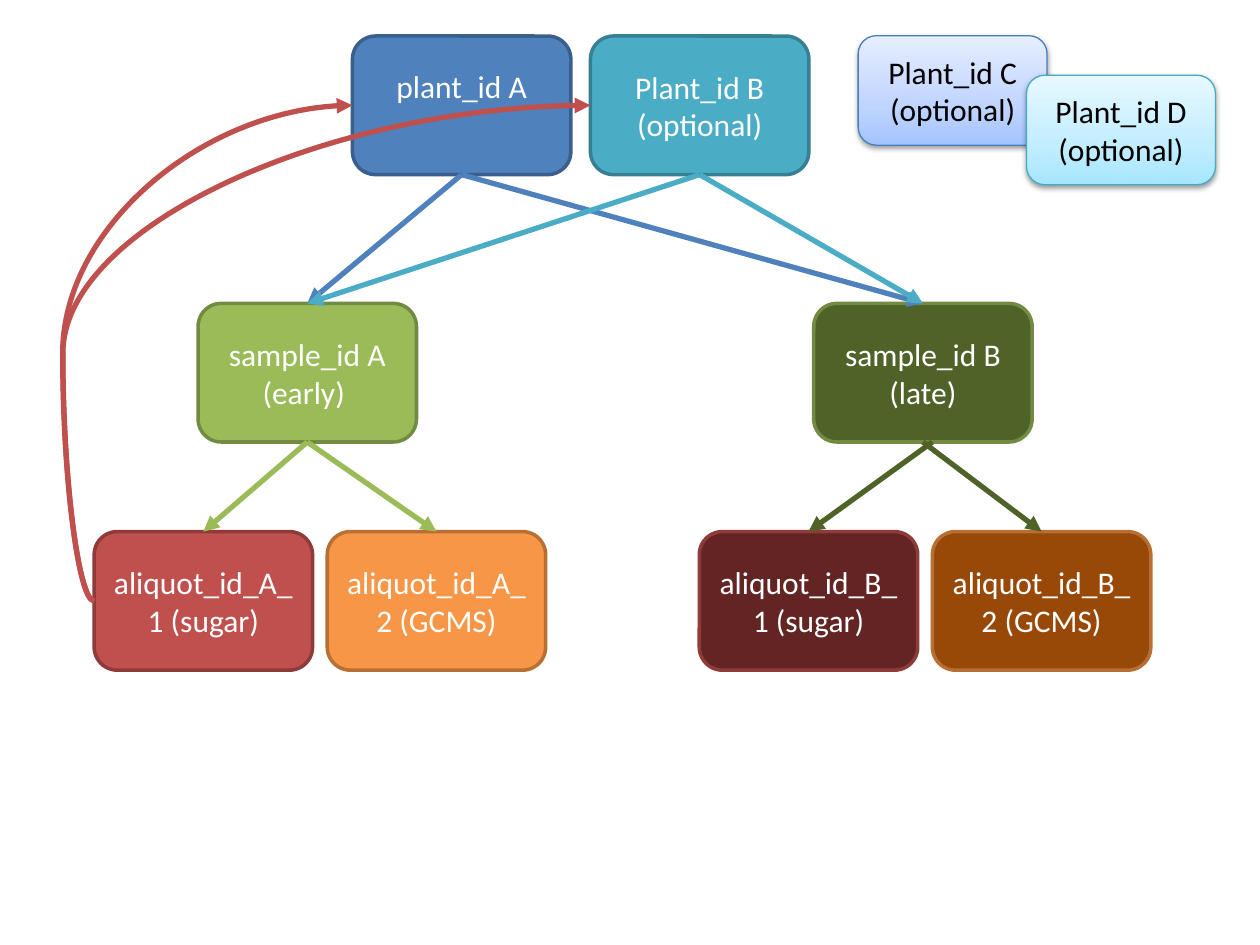
from lxml import etree
from pptx import Presentation
from pptx.dml.color import RGBColor
from pptx.enum import shapes, text
from pptx.oxml import parse_xml
from pptx.oxml.ns import nsdecls, qn
from pptx.util import Pt

WHITE = RGBColor(0xFF, 0xFF, 0xFF)
BLACK = RGBColor(0x00, 0x00, 0x00)
BLUE = RGBColor(0x4F, 0x81, 0xBD)
BLUE_EDGE = RGBColor(0x3A, 0x5F, 0x8C)
TEAL = RGBColor(0x4B, 0xAC, 0xC6)
TEAL_EDGE = RGBColor(0x37, 0x7F, 0x92)
GREEN = RGBColor(0x9B, 0xBB, 0x59)
DARK_GREEN = RGBColor(0x4F, 0x62, 0x28)
GREEN_EDGE = RGBColor(0x73, 0x8A, 0x42)
RED = RGBColor(0xC0, 0x50, 0x4D)
DARK_RED = RGBColor(0x63, 0x25, 0x23)
RED_EDGE = RGBColor(0x8E, 0x3B, 0x39)
ORANGE = RGBColor(0xF7, 0x96, 0x46)
BROWN = RGBColor(0x98, 0x48, 0x07)
ORANGE_EDGE = RGBColor(0xB7, 0x6F, 0x34)
PALE_BLUE_EDGE = RGBColor(0x4B, 0x7E, 0xBC)
PALE_TEAL_EDGE = RGBColor(0x46, 0xAA, 0xC5)
PALE_BLUES = [RGBColor(0xA4, 0xC4, 0xFF), RGBColor(0xBF, 0xD4, 0xFF), RGBColor(0xE6, 0xEE, 0xFF)]
PALE_TEALS = [RGBColor(0xA7, 0xE6, 0xFF), RGBColor(0xC1, 0xED, 0xFF), RGBColor(0xE7, 0xF8, 0xFF)]

BOX_SIZE = (124.8, 79.2)
CARD_SIZE = (108, 62.6)
PLANT_TOP, SAMPLE_TOP, ALIQUOT_TOP = 20.6, 173.4, 303.8
TOP, LEFT, BOTTOM = 0, 1, 2  # connection sites of a rounded rectangle
LINE_HEIGHT = 21.6
LOOP_REACH = 18


def add_rounded(slide, lines, left, top, size, edge, edge_width, font_color):
    shape = slide.shapes.add_shape(shapes.MSO_SHAPE.ROUNDED_RECTANGLE,
                                   Pt(left), Pt(top), Pt(size[0]), Pt(size[1]))
    shape.shadow.inherit = False
    shape.line.color.rgb = edge
    shape.line.width = Pt(edge_width)
    frame = shape.text_frame
    frame.word_wrap = True
    frame.vertical_anchor = text.MSO_ANCHOR.MIDDLE
    frame.text = "\n".join(lines)
    for paragraph in frame.paragraphs:
        paragraph.alignment = text.PP_ALIGN.CENTER
        paragraph.font.name = "Calibri"
        paragraph.font.size = Pt(18)
        paragraph.font.color.rgb = font_color
    return shape


def add_box(slide, lines, left, top, fill, edge):
    shape = add_rounded(slide, lines, left, top, BOX_SIZE, edge, 2, WHITE)
    shape.fill.solid()
    shape.fill.fore_color.rgb = fill
    return shape


def add_card(slide, lines, left, top, colors, edge):
    """Add a small box with a bottom-to-top gradient and a soft shadow."""
    shape = add_rounded(slide, lines, left, top, CARD_SIZE, edge, 0.75, BLACK)
    stops = "".join(f'<a:gs pos="{position}"><a:srgbClr val="{color}"/></a:gs>'
                    for position, color in zip((0, 35000, 100000), colors))
    properties = shape._element.spPr
    properties.find(qn("a:prstGeom")).addnext(parse_xml(
        f'<a:gradFill {nsdecls("a")} rotWithShape="1"><a:gsLst>{stops}</a:gsLst>'
        '<a:lin ang="16200000" scaled="0"/></a:gradFill>'))
    properties.find(qn("a:effectLst")).append(parse_xml(
        f'<a:outerShdw {nsdecls("a")} blurRad="{Pt(3.1)}" dist="{Pt(1.6)}" dir="5400000" '
        'rotWithShape="0"><a:srgbClr val="000000"><a:alpha val="38000"/></a:srgbClr>'
        '</a:outerShdw>'))


def add_arrow(slide, start, target, site, color, kind=shapes.MSO_CONNECTOR.STRAIGHT):
    """Draw an arrow from a point to a connection site of the target box."""
    left, top = target.left, target.top
    end = {TOP: (left + target.width // 2, top),
           LEFT: (left, top + target.height // 2)}[site]
    connector = slide.shapes.add_connector(kind, *start, *end)
    connector.end_connect(target, site)
    connector.line.color.rgb = color
    connector.line.width = Pt(3)
    etree.SubElement(connector.line._get_or_add_ln(), qn("a:tailEnd"), type="triangle")
    etree.SubElement(connector._element.spPr, qn("a:effectLst"))
    return connector


def add_branch(slide, source, target, color):
    start = (source.left + source.width // 2, source.top + source.height)
    add_arrow(slide, start, target, TOP, color).begin_connect(source, BOTTOM)


def add_loop(slide, source, target):
    """Draw a curve that leaves the source to the left and enters the target from the left."""
    start = (source.left, source.top + source.height // 2)
    connector = add_arrow(slide, start, target, LEFT, RED, shapes.MSO_CONNECTOR.CURVE)
    connector.begin_connect(source, LEFT)
    bend = round(-100000 * Pt(LOOP_REACH) / connector.width)
    guides = connector._element.spPr.find(qn("a:prstGeom")).get_or_add_avLst()
    etree.SubElement(guides, qn("a:gd"), name="adj1", fmla=f"val {bend}")


def main():
    presentation = Presentation()
    presentation.slide_width, presentation.slide_height = Pt(720), Pt(540)
    slide = presentation.slides.add_slide(presentation.slide_layouts[6])

    plant_a = add_box(slide, ["plant_id A"], 201.4, PLANT_TOP, BLUE, BLUE_EDGE)
    plant_a.text_frame.margin_bottom += Pt(LINE_HEIGHT)
    plant_b = add_box(slide, ["Plant_id B", "(optional)"], 337.4, PLANT_TOP, TEAL, TEAL_EDGE)
    sample_a = add_box(slide, ["sample_id A", "(early) "], 113.2, SAMPLE_TOP, GREEN, GREEN_EDGE)
    sample_b = add_box(slide, ["sample_id B", "(late)"], 465, SAMPLE_TOP, DARK_GREEN, GREEN_EDGE)
    sugar_a, gcms_a, sugar_b, gcms_b = [
        add_box(slide, [label], left, ALIQUOT_TOP, fill, edge)
        for label, left, fill, edge in (
            ("aliquot_id_A_1 (sugar)", 53.8, RED, RED_EDGE),
            ("aliquot_id_A_2 (GCMS)", 187, ORANGE, ORANGE_EDGE),
            ("aliquot_id_B_1 (sugar)", 399.6, DARK_RED, RED_EDGE),
            ("aliquot_id_B_2 (GCMS)", 532.8, BROWN, ORANGE_EDGE),
        )]
    add_card(slide, ["Plant_id C", "(optional)"], 490.4, 20.4, PALE_BLUES, PALE_BLUE_EDGE)
    add_card(slide, ["Plant_id D", "(optional)"], 586.6, 43, PALE_TEALS, PALE_TEAL_EDGE)

    for source, target, color in (
        (plant_a, sample_a, BLUE), (plant_a, sample_b, BLUE),
        (plant_b, sample_b, TEAL), (plant_b, sample_a, TEAL),
        (sample_a, sugar_a, GREEN), (sample_a, gcms_a, GREEN),
        (sample_b, gcms_b, DARK_GREEN),
    ):
        add_branch(slide, source, target, color)
    add_arrow(slide, (Pt(532.8), sample_b.top + sample_b.height), sugar_b, TOP, DARK_GREEN)
    for plant in (plant_a, plant_b):
        add_loop(slide, sugar_a, plant)

    presentation.save("out.pptx")


if __name__ == "__main__":
    main()
